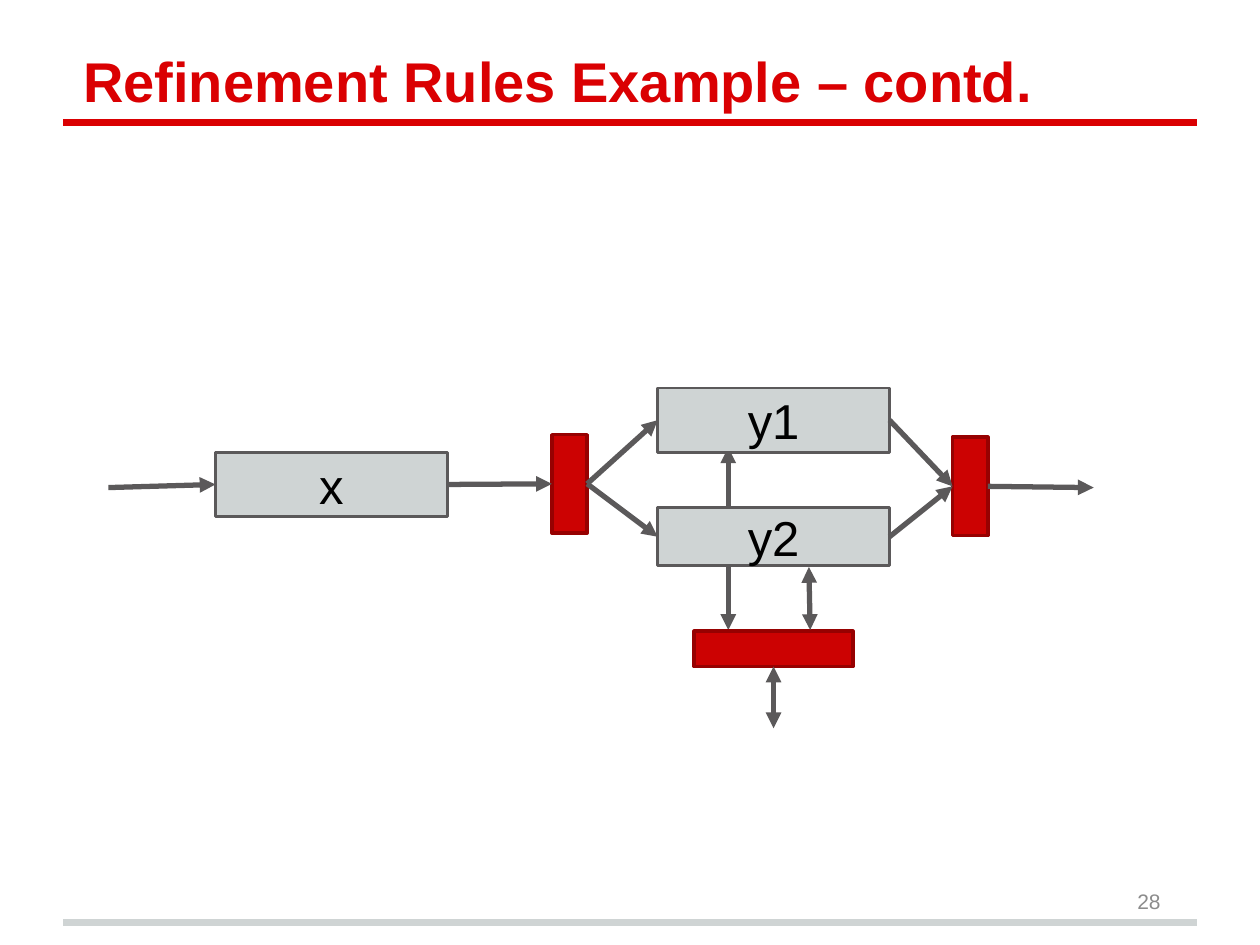
"""Build the refinement rules example slide with its data-flow diagram."""
from pptx import Presentation
from pptx.dml.color import RGBColor
from pptx.enum.shapes import MSO_CONNECTOR as Connector, MSO_SHAPE as Shape
from pptx.enum.text import MSO_ANCHOR as Anchor, MSO_AUTO_SIZE as AutoSize, PP_ALIGN as Align
from pptx.oxml.ns import qn
from pptx.util import Pt
from lxml.etree import SubElement

PX = 9144
RED = RGBColor(0xDA, 0x00, 0x02)
BAR_RED = RGBColor(0xCC, 0x02, 0x02)
DARK_RED = RGBColor(0x97, 0x01, 0x01)
LIGHT_GRAY = RGBColor(0xCF, 0xD4, 0xD4)
DARK_GRAY = RGBColor(0x5B, 0x59, 0x5A)
NUMBER_GRAY = RGBColor(0x8C, 0x8C, 0x8C)
BLACK = RGBColor(0, 0, 0)
TOP, LEFT, BOTTOM, RIGHT = range(4)


def write(shape, text, size, color, align, anchor, margin, bold=False):
    frame = shape.text_frame
    frame.text = text
    frame_format = {
        "word_wrap": True, "auto_size": AutoSize.NONE, "vertical_anchor": anchor,
        "margin_left": margin, "margin_right": margin,
        "margin_top": margin, "margin_bottom": margin,
    }
    for name, value in frame_format.items():
        setattr(frame, name, value)
    paragraph = frame.paragraphs[0]
    paragraph.alignment = align
    font = paragraph.runs[0].font
    for name, value in {"name": "Arial", "size": Pt(size), "bold": bold}.items():
        setattr(font, name, value)
    font.color.rgb = color
    return paragraph


def draw_line(start, end, color, width, arrows=()):
    line = slide.shapes.add_connector(
        Connector.STRAIGHT, *(value * PX for value in start + end))
    line.line.color.rgb = color
    line.line.width = Pt(width)
    outline = line.line._get_or_add_ln()
    for arrow in arrows:
        SubElement(outline, qn(f"a:{arrow}"), type="triangle")
    SubElement(line._element.spPr, qn("a:effectLst"))
    return line


presentation = Presentation()
presentation.slide_width = 1000 * PX
presentation.slide_height = 750 * PX
slide = presentation.slides.add_slide(presentation.slide_layouts[5])

for y, color in ((732, LIGHT_GRAY), (97, RED)):
    draw_line((50, y), (950, y), color, 4)

title = slide.shapes.title
for name, value in {"left": 31, "top": 50, "width": 900, "height": 50}.items():
    setattr(title, name, value * PX)
title_paragraph = write(title, "Refinement Rules Example – contd.", 32, RED,
                        Align.LEFT, Anchor.BOTTOM, 10 * PX, bold=True)
title_properties = title_paragraph._p.get_or_add_pPr()
title_properties.set("marL", "0")
title_properties.set("indent", str(25 * PX))

number = slide.shapes.add_textbox(706 * PX, 695 * PX, 225 * PX, 40 * PX)
write(number, "28", 12, NUMBER_GRAY, Align.RIGHT, Anchor.MIDDLE, 10 * PX)

BOTH = ("headEnd", "tailEnd")
FORWARD = ("tailEnd",)
draw_line((578, 355), (578, 500), DARK_GRAY, 3, BOTH)

boxes = {
    "x": (171, 359, 184, 51),
    "y1": (522, 308, 184, 51),
    "y2": (522, 403, 184, 46),
    "split": (438, 345, 28, 78),
    "join": (756, 347, 28, 78),
    "exchange": (551, 501, 126, 28),
}
shapes = {}
for name, bounds in boxes.items():
    shape = slide.shapes.add_shape(Shape.RECTANGLE, *(value * PX for value in bounds))
    is_process = name in ("x", "y1", "y2")
    shape.shadow.inherit = False
    shape.fill.solid()
    shape.fill.fore_color.rgb = LIGHT_GRAY if is_process else BAR_RED
    shape.line.color.rgb = DARK_GRAY if is_process else DARK_RED
    shape.line.width = Pt(1.5 if is_process else 2)
    if is_process:
        write(shape, name, 28, BLACK, Align.CENTER, Anchor.MIDDLE, 10 * PX)
    shapes[name] = shape

flows = [
    ((86, 387), ("x", LEFT), FORWARD),
    (("x", RIGHT), ("split", LEFT), FORWARD),
    (("split", RIGHT), ("y1", LEFT), FORWARD),
    (("split", RIGHT), ("y2", LEFT), FORWARD),
    (("y1", RIGHT), ("join", LEFT), FORWARD),
    (("y2", RIGHT), ("join", LEFT), FORWARD),
    (("join", RIGHT), (868, 387), FORWARD),
    (("exchange", BOTTOM), (614, 578), BOTH),
    ((642, 450), (643, 500), BOTH),
]
for start, end, arrows in flows:
    points = [(0, 0) if point[0] in shapes else point for point in (start, end)]
    flow = draw_line(*points, DARK_GRAY, 3, arrows)
    for point, connect in ((start, flow.begin_connect), (end, flow.end_connect)):
        if point[0] in shapes:
            connect(shapes[point[0]], point[1])

presentation.save("out.pptx")
